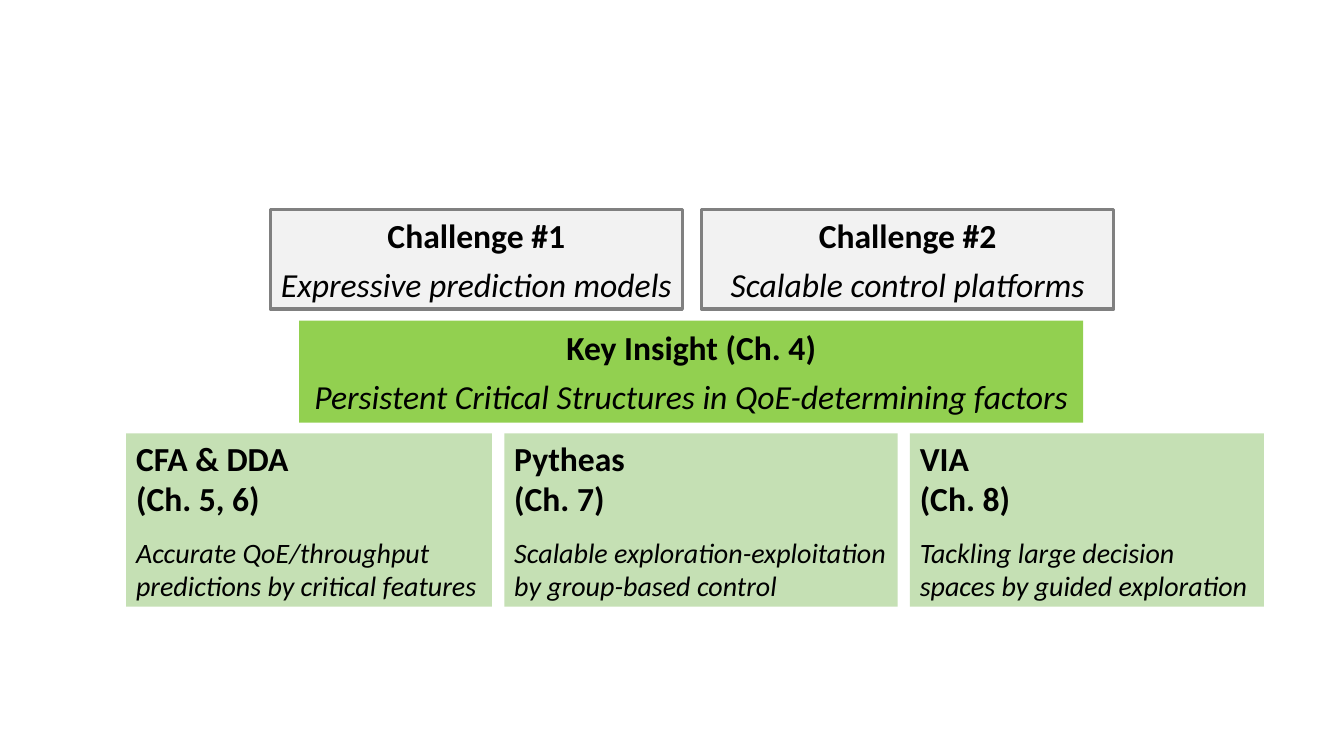
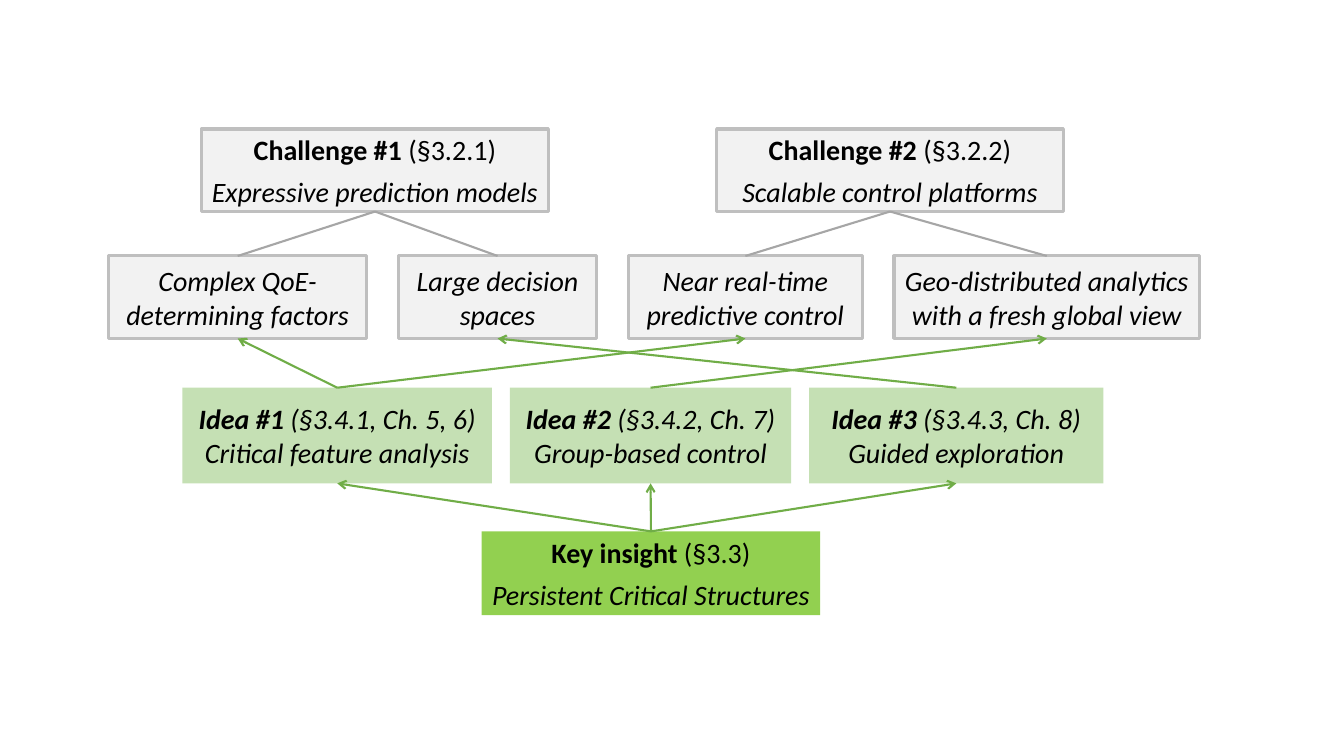
import pptx
import pptx.dml.color
import pptx.enum.dml
import pptx.enum.shapes
import pptx.enum.text
import pptx.oxml
import pptx.oxml.ns
import pptx.util
from lxml import etree
from pptx.util import Cm, Pt

FONT = "Calibri"
COLORS = {
    "text": "000000",
    "gray_fill": "F2F2F2",
    "dark_border": "808080",
    "light_border": "BFBFBF",
    "branch": "A6A6A6",
    "insight": "92D050",
    "idea": "C5E0B4",
    "arrow": "70AD47",
}
TOP, BOTTOM = 0, 2  # connection sites of a rectangle


def add_box(slide, bounds, fill, lines, size, border=None, space_before=6, inset=0.13):
    """Add a rectangle; each line is a list of (text, style), style made of "b" and "i"."""
    shape = slide.shapes.add_shape(
        pptx.enum.shapes.MSO_SHAPE.RECTANGLE, *[Cm(length) for length in bounds])
    shape.shadow.inherit = False
    shape.fill.solid()
    shape.fill.fore_color.rgb = pptx.dml.color.RGBColor.from_string(COLORS[fill])
    if border:
        shape.line.color.rgb = pptx.dml.color.RGBColor.from_string(COLORS[border])
        shape.line.width = Pt(2.25)
    else:
        shape.line.fill.background()
    frame = shape.text_frame
    frame.word_wrap = True
    frame.vertical_anchor = pptx.enum.text.MSO_ANCHOR.MIDDLE
    frame.margin_top = frame.margin_bottom = Cm(inset)
    for index, line in enumerate(lines):
        paragraph = frame.add_paragraph() if index else frame.paragraphs[0]
        paragraph.alignment = pptx.enum.text.PP_ALIGN.CENTER
        paragraph.space_before = Pt(space_before)
        for text, style in line:
            run = paragraph.add_run()
            run.text = text
            run.font.name = FONT
            run.font.size = Pt(size)
            run.font.bold = "b" in style
            run.font.italic = "i" in style
            run.font.color.rgb = pptx.dml.color.RGBColor.from_string(COLORS["text"])
    return shape


def connect(slide, start, start_site, end, end_site, color, arrow=False):
    connector = slide.shapes.add_connector(
        pptx.enum.shapes.MSO_CONNECTOR.STRAIGHT, 0, 0, 0, 0)
    connector.begin_connect(start, start_site)
    connector.end_connect(end, end_site)
    connector.line.color.rgb = pptx.dml.color.RGBColor.from_string(COLORS[color])
    connector.line.width = Pt(1.5)
    if arrow:
        tail = etree.SubElement(connector.line._get_or_add_ln(), pptx.oxml.ns.qn("a:tailEnd"))
        tail.set("type", "arrow")
    etree.SubElement(connector._element.spPr, pptx.oxml.ns.qn("a:effectLst"))


presentation = pptx.Presentation()
presentation.slide_width = Cm(33.87)
presentation.slide_height = Cm(19.05)
blank_layout = presentation.slide_layouts[6]

challenges = [
    ("Challenge #1", " (§3.2.1)", "Expressive prediction models"),
    ("Challenge #2", " (§3.2.2)", "Scalable control platforms"),
]

# Slide 1: challenges, key insight and the three systems
slide = presentation.slides.add_slide(blank_layout)

for index, (name, section, summary) in enumerate(challenges):
    add_box(slide, (6.81 + index * 10.87, 5.28, 10.39, 2.51), "gray_fill",
            [[(name, "b")], [(summary, "i")]], 24, border="dark_border")

add_box(slide, (7.54, 8.08, 19.76, 2.57), "insight",
        [[("Key Insight (Ch. 4)", "b")],
         [("Persistent Critical Structures in QoE-determining factors", "i")]], 24)

systems = [
    (9.22, "CFA & DDA", "(Ch. 5, 6)", "Accurate QoE/throughput predictions by critical features"),
    (9.91, "Pytheas", "(Ch. 7)", "Scalable exploration-exploitation by group-based control"),
    (8.92, "VIA", "(Ch. 8)", "Tackling large decision spaces by guided exploration"),
]
left = 3.18
for width, name, chapter, summary in systems:
    system = add_box(slide, (left, 10.92, width, 4.37), "idea",
                     [[(name, "b")], [(chapter, "b")], [(summary, "i")]],
                     24, space_before=0, inset=0)
    paragraphs = system.text_frame.paragraphs
    for paragraph in paragraphs:
        paragraph.alignment = pptx.enum.text.PP_ALIGN.LEFT
    for paragraph in paragraphs[1:]:
        paragraph.space_after = Pt(12)
    paragraphs[2].runs[0].font.size = Pt(20)
    left += width + 0.31

# Slide 2: how the ideas answer each part of the challenges
slide = presentation.slides.add_slide(blank_layout)

challenge_boxes = []
for index, (name, section, summary) in enumerate(challenges):
    challenge_boxes.append(add_box(
        slide, (5.08 + index * 12.98, 3.25, 8.74, 2.08), "gray_fill",
        [[(name, "b"), (section, "")], [(summary, "i")]], 20, border="light_border"))

issues = [
    (6.5, "Complex QoE-determining factors"),
    (5, "Large decision spaces"),
    (5.89, "Near real-time predictive control"),
    (7.7, "Geo-distributed analytics with a fresh global view"),
]
issue_boxes = []
left = 2.74
for index, (width, text) in enumerate(issues):
    issue_boxes.append(add_box(slide, (left, 6.45, width, 2.08), "gray_fill",
                               [[(text, "i")]], 20, border="light_border"))
    connect(slide, challenge_boxes[index // 2], BOTTOM, issue_boxes[index], TOP, "branch")
    left += width + 0.8

insight_box = add_box(slide, (12.14, 13.39, 8.53, 2.11), "insight",
                      [[("Key insight ", "b"), ("(§3.3)", "")],
                       [("Persistent Critical Structures", "i")]], 20)

# Width, name, sections, summary and the issues that the idea answers
ideas = [
    (7.8, "Idea #1 ", "(§3.4.1, Ch. 5, 6)", "Critical feature analysis", [0, 2]),
    (7.09, "Idea #2 ", "(§3.4.2, Ch. 7)", "Group-based control", [3]),
    (7.42, "Idea #3 ", "(§3.4.3, Ch. 8)", "Guided exploration", [1]),
]
left = 4.6
for width, name, sections, summary, answered in ideas:
    idea_box = add_box(slide, (left, 9.77, width, 2.41), "idea",
                       [[(name, "bi"), (sections, "i")], [(summary, "i")]],
                       20, space_before=0, inset=0)
    for issue in answered:
        connect(slide, idea_box, TOP, issue_boxes[issue], BOTTOM, "arrow", arrow=True)
    connect(slide, insight_box, TOP, idea_box, BOTTOM, "arrow", arrow=True)
    left += width + 0.45

presentation.save("out.pptx")
